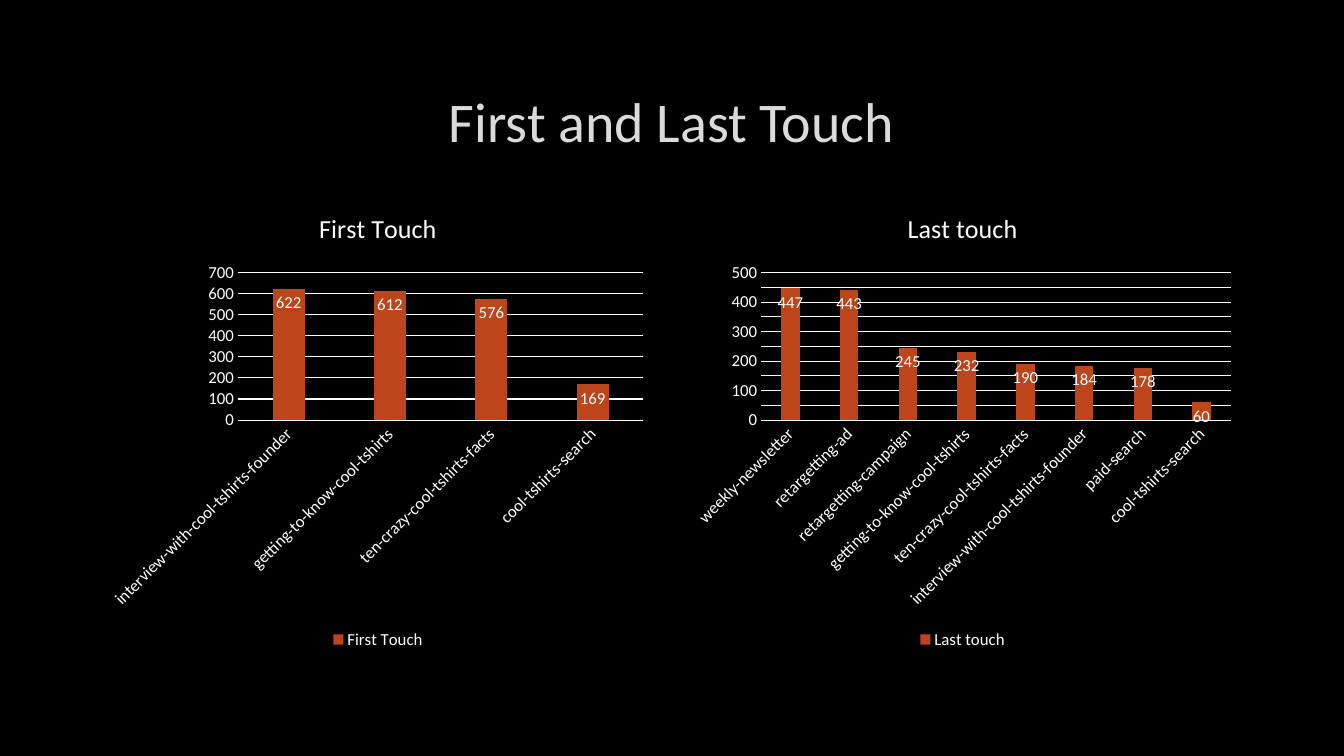
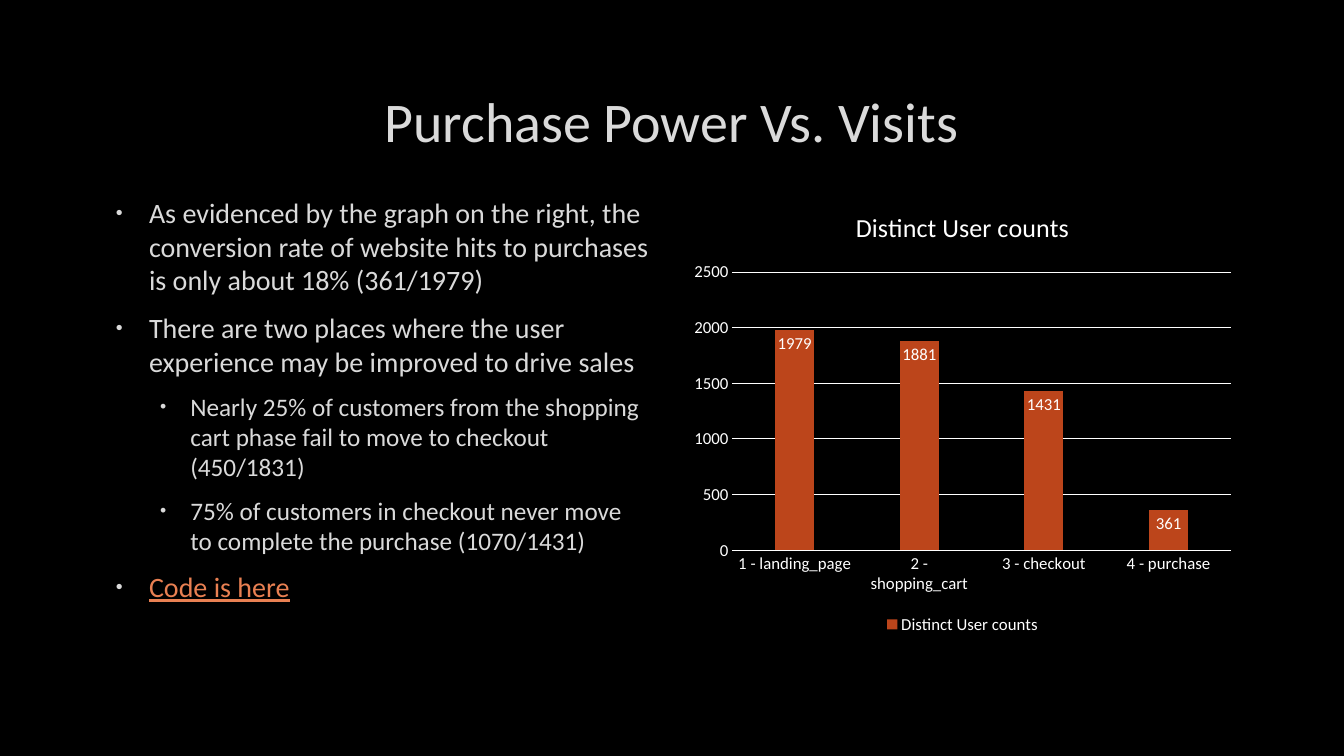
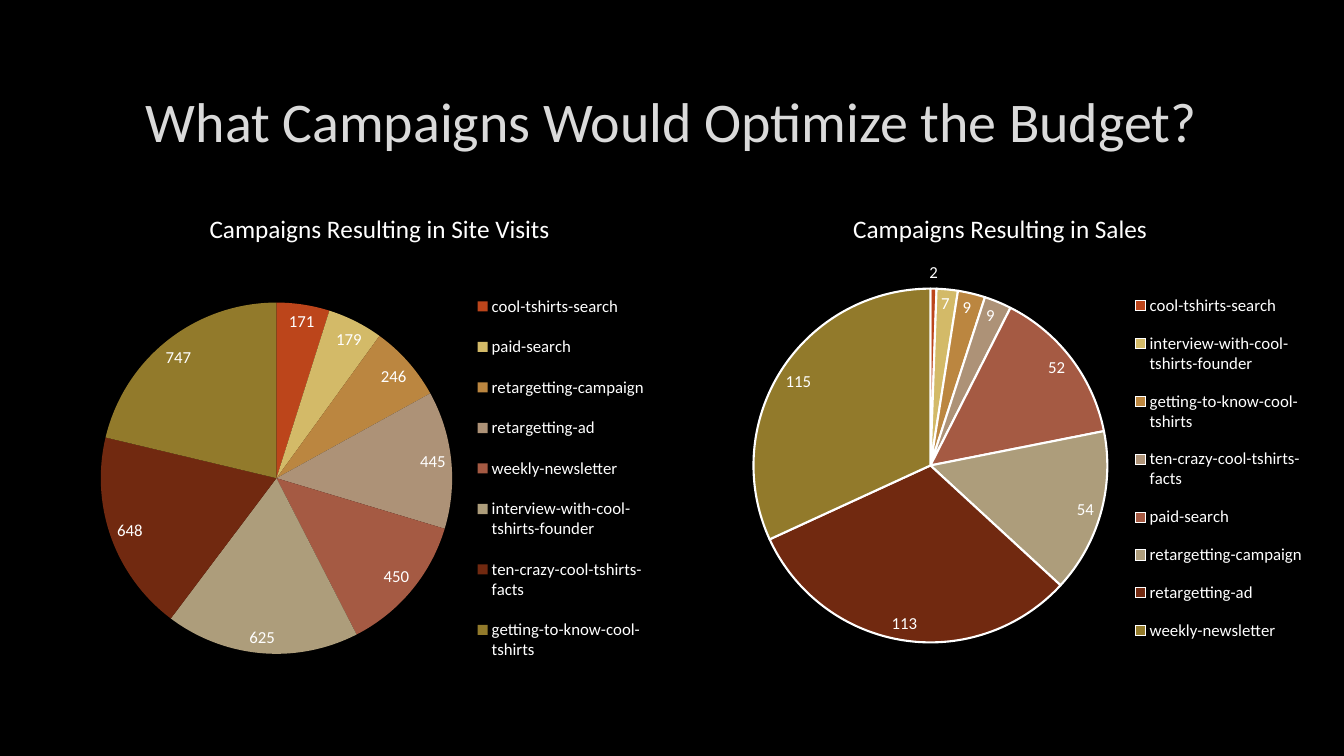
import pptx
import pptx.chart.data
import pptx.dml.color
import pptx.enum.chart
import pptx.enum.text
import pptx.oxml
import pptx.oxml.ns
import pptx.util

FONT = "Calibri"
COLORS = {
    "background": "000000",
    "text": "DADADA",
    "chart_text": "FFFFFF",
    "bar": "BC451B",
    "link": "E98052",
}
SLICES = ["BC451B", "D3BA68", "BB8640", "AD9277", "A55A43", "AD9D7B", "712910", "927A2B"]
WIDTH, HEIGHT = pptx.util.Inches(13.33), pptx.util.Inches(7.5)
COLUMN, ROW = WIDTH / 120, HEIGHT / 90
LEFT, MIDDLE, TOP = 9, 61, 22.7
TITLE_BOX = (LEFT, 8, 101.9, 12.7)

SEARCH, PAID = "cool-tshirts-search", "paid-search"
FOUNDER, KNOW = "interview-with-cool-tshirts-founder", "getting-to-know-cool-tshirts"
FACTS, WEEKLY = "ten-crazy-cool-tshirts-facts", "weekly-newsletter"
AD, CAMPAIGN = "retargetting-ad", "retargetting-campaign"


def place(box):
    left, top, width, height = box
    return int(left * COLUMN), int(top * ROW), int(width * COLUMN), int(height * ROW)


def rgb(value):
    return pptx.dml.color.RGBColor.from_string(value)


def style_font(font, size, color):
    font.name = FONT
    font.size = pptx.util.Pt(size)
    font.bold = False
    font.color.rgb = rgb(color)


def chart_font(font, size=12):
    style_font(font, size, COLORS["chart_text"])


def white_line(line, points):
    line.color.rgb = rgb(COLORS["chart_text"])
    line.width = pptx.util.Pt(points)


def add_page(deck, title):
    page = deck.slides.add_slide(deck.slide_layouts[5])
    box = page.shapes.title
    box.left, box.top, box.width, box.height = place(TITLE_BOX)
    frame = box.text_frame
    frame.text = title
    frame.vertical_anchor = pptx.enum.text.MSO_ANCHOR.MIDDLE
    para = frame.paragraphs[0]
    para.alignment = pptx.enum.text.PP_ALIGN.CENTER
    style_font(para.runs[0].font, 40, COLORS["text"])
    return page


def add_chart(page, box, kind, title, series_name, points, title_size, legend_side):
    data = pptx.chart.data.CategoryChartData()
    data.categories = [name for name, value in points]
    data.add_series(series_name, [value for name, value in points])
    chart = page.shapes.add_chart(kind, *place(box), data).chart
    chart_font(chart.font, 10)
    chart.has_title = True
    chart.chart_title.text_frame.text = title
    chart_font(chart.chart_title.text_frame.paragraphs[0].runs[0].font, title_size)
    chart.chart_title.include_in_layout = False
    chart.has_legend = True
    chart.legend.position = legend_side
    chart.legend.include_in_layout = False
    chart_font(chart.legend.font)
    plot = chart.plots[0]
    plot.has_data_labels = True
    plot.data_labels.show_value = True
    chart_font(plot.data_labels.font)
    return chart


def column_chart(page, box, title, points):
    chart = add_chart(page, box, pptx.enum.chart.XL_CHART_TYPE.COLUMN_CLUSTERED, title,
                      title, points, 18.6, pptx.enum.chart.XL_LEGEND_POSITION.BOTTOM)
    plot = chart.plots[0]
    plot.vary_by_categories = False
    plot.gap_width, plot.overlap = 219, -27
    plot.data_labels.position = pptx.enum.chart.XL_LABEL_POSITION.INSIDE_END
    fill = plot.series[0].format.fill
    fill.solid()
    fill.fore_color.rgb = rgb(COLORS["bar"])
    for axis in (chart.category_axis, chart.value_axis):
        axis.major_tick_mark = axis.minor_tick_mark = pptx.enum.chart.XL_TICK_MARK.NONE
        chart_font(axis.tick_labels.font)
    white_line(chart.category_axis.format.line, 0.75)
    chart.value_axis.format.line.fill.background()
    white_line(chart.value_axis.major_gridlines.format.line, 0.75)
    body = chart.category_axis._element.find(
        pptx.oxml.ns.qn("c:txPr") + "/" + pptx.oxml.ns.qn("a:bodyPr"))
    body.set("rot", "-60000000")


def set_layout(parent, shares, inner=False):
    for old in parent.findall(pptx.oxml.ns.qn("c:layout")):
        parent.remove(old)
    target = '<c:layoutTarget val="inner"/>' if inner else ""
    modes = "".join(f'<c:{side}Mode val="edge"/>' for side in "xy")
    sizes = "".join(f'<c:{side} val="{share}"/>' for side, share in zip("xywh", shares))
    layout = pptx.oxml.parse_xml(
        f'<c:layout {pptx.oxml.ns.nsdecls("c")}><c:manualLayout>'
        f'{target}{modes}{sizes}</c:manualLayout></c:layout>')
    before = parent.find(pptx.oxml.ns.qn("c:legendPos"))
    parent.insert(0 if before is None else parent.index(before) + 1, layout)


def pie_chart(page, box, title, points, plot_shares, legend_shares, outlined):
    chart = add_chart(page, box, pptx.enum.chart.XL_CHART_TYPE.PIE, title, "Series 1",
                      points, 18, pptx.enum.chart.XL_LEGEND_POSITION.RIGHT)
    plot = chart.plots[0]
    plot.vary_by_categories = True
    plot.data_labels.position = pptx.enum.chart.XL_LABEL_POSITION.BEST_FIT
    for index, color in enumerate(SLICES):
        piece = plot.series[0].points[index].format
        piece.fill.solid()
        piece.fill.fore_color.rgb = rgb(color)
        if outlined:
            white_line(piece.line, 1.5)
        else:
            piece.line.fill.background()
    area = chart._chartSpace.find(".//" + pptx.oxml.ns.qn("c:plotArea"))
    set_layout(area, plot_shares, inner=True)
    set_layout(chart.legend._element, legend_shares)


def bullet_list(page, box, items):
    frame = page.shapes.add_textbox(*place(box)).text_frame
    frame.word_wrap = True
    for index, (level, color, text) in enumerate(items):
        para = frame.paragraphs[0] if index == 0 else frame.add_paragraph()
        para.text = text
        para.level = level
        size = (20, 18)[level]
        para.space_before = pptx.util.Pt(size / 5)
        para.space_after = pptx.util.Pt(6)
        span = para.runs[0]
        style_font(span.font, size, COLORS[color])
        span.font.underline = color == "link"
        props = para._p.get_or_add_pPr()
        props.set("marL", str(pptx.util.Inches((0.38, 0.79)[level])))
        props.set("indent", str(pptx.util.Inches((-0.33, -0.3)[level])))
        spaces = pptx.oxml.ns.nsdecls("a")
        for mark in (
            f'<a:buClr {spaces}><a:srgbClr val="{COLORS["text"]}"/></a:buClr>',
            f'<a:buSzPct {spaces} val="70000"/>',
            f'<a:buFont {spaces} typeface="Arial"/>',
            f'<a:buChar {spaces} char="•"/>',
        ):
            props.append(pptx.oxml.parse_xml(mark))


def touch_page(deck):
    page = add_page(deck, "First and Last Touch")
    column_chart(page, (LEFT, TOP, 49.5, 55.1), "First Touch",
                 [(FOUNDER, 622), (KNOW, 612), (FACTS, 576), (SEARCH, 169)])
    column_chart(page, (MIDDLE, TOP, 49.9, 55.1), "Last touch",
                 [(WEEKLY, 447), (AD, 443), (CAMPAIGN, 245), (KNOW, 232),
                  (FACTS, 190), (FOUNDER, 184), (PAID, 178), (SEARCH, 60)])


def purchase_page(deck):
    page = add_page(deck, "Purchase Power Vs. Visits")
    bullet_list(page, (LEFT, TOP, 49.8, 53.3), [
        (0, "text", "As evidenced by the graph on the right, the conversion rate of "
                    "website hits to purchases is only about 18% (361/1979)"),
        (0, "text", "There are two places where the user experience may be improved "
                    "to drive sales"),
        (1, "text", "Nearly 25% of customers from the shopping cart phase fail to move "
                    "to checkout (450/1831)"),
        (1, "text", "75% of customers in checkout never move to complete the purchase "
                    "(1070/1431)"),
        (0, "link", "Code is here"),
    ])
    column_chart(page, (MIDDLE, TOP, 49.9, 53.3), "Distinct User counts",
                 [("1 - landing_page", 1979), ("2 - shopping_cart", 1881),
                  ("3 - checkout", 1431), ("4 - purchase", 361)])


def budget_page(deck):
    page = add_page(deck, "What Campaigns Would Optimize the Budget?")
    pie_chart(page, (LEFT, TOP, 49.8, 63.4), "Campaigns Resulting in Site Visits",
              [(SEARCH, 171), (PAID, 179), (CAMPAIGN, 246), (AD, 445),
               (WEEKLY, 450), (FOUNDER, 625), (FACTS, 648), (KNOW, 747)],
              (0, 0.21, 0.63, 0.66), (0.66, 0.16, 0.33, 0.76), False)
    pie_chart(page, (MIDDLE, TOP, 56.6, 64.8), "Campaigns Resulting in Sales",
              [(SEARCH, 2), (FOUNDER, 7), (KNOW, 9), (FACTS, 9),
               (PAID, 52), (CAMPAIGN, 54), (AD, 113), (WEEKLY, 115)],
              (0.11, 0.18, 0.56, 0.65), (0.7, 0.16, 0.29, 0.7), True)


def main():
    deck = pptx.Presentation()
    deck.slide_width, deck.slide_height = WIDTH, HEIGHT
    fill = deck.slide_master.background.fill
    fill.solid()
    fill.fore_color.rgb = rgb(COLORS["background"])
    touch_page(deck)
    purchase_page(deck)
    budget_page(deck)
    deck.save("out.pptx")


if __name__ == "__main__":
    main()
